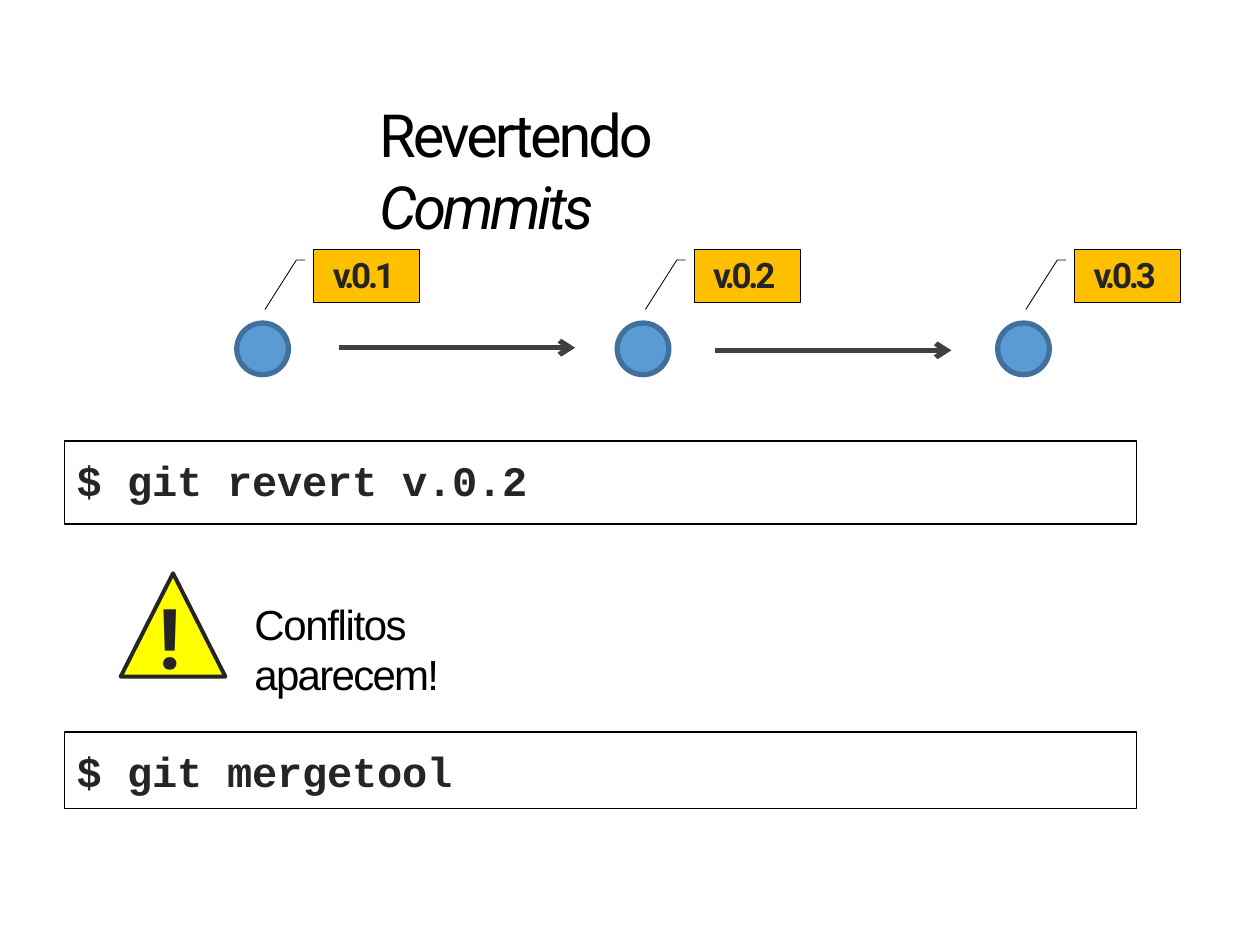
"""Build the slide on reverting commits, with its version timeline and commands."""
from dataclasses import dataclass

from lxml import etree
from pptx import Presentation
from pptx.dml.color import RGBColor
from pptx.enum.shapes import MSO_CONNECTOR, MSO_SHAPE
from pptx.enum.text import MSO_ANCHOR, MSO_AUTO_SIZE, PP_ALIGN
from pptx.oxml.ns import qn
from pptx.util import Pt

RECTANGLE = MSO_SHAPE.RECTANGLE
OVAL = MSO_SHAPE.OVAL
TRIANGLE = MSO_SHAPE.ISOSCELES_TRIANGLE
STRAIGHT = MSO_CONNECTOR.STRAIGHT
TOP = MSO_ANCHOR.TOP
LEFT = PP_ALIGN.LEFT
FIXED = MSO_AUTO_SIZE.NONE
GROW = MSO_AUTO_SIZE.SHAPE_TO_FIT_TEXT
TITLE_ONLY = 5


@dataclass(frozen=True)
class Theme:
    black: str = "000000"
    ink: str = "252525"
    arrow: str = "404040"
    commit: str = "5B9BD4"
    commit_edge: str = "41709C"
    tag: str = "FFC000"
    warning: str = "FFFF00"
    heading_font: str = "Roboto"
    body_font: str = "Arial"
    code_font: str = "Courier New"
    title_size: float = 34
    tag_size: float = 20
    body_size: float = 24
    mark_size: float = 48


@dataclass(frozen=True)
class Type:
    font: str
    size: float
    color: str
    bold: bool = False


class SlideBuilder:
    def __init__(self, slide, theme):
        self.slide = slide
        self.shapes = slide.shapes
        self.theme = theme

    def set_text(self, shape, runs, style, indent=0.7, inset=0.7, before=1, fit=GROW):
        frame = shape.text_frame
        frame.word_wrap = True
        frame.auto_size = fit
        frame.vertical_anchor = TOP
        frame.margin_left, frame.margin_top = Pt(indent), Pt(inset)
        frame.margin_right = frame.margin_bottom = 0
        paragraph = frame.paragraphs[0]
        paragraph.alignment = LEFT
        paragraph.space_before = Pt(before)
        for text, tracking, italic in runs:
            run = paragraph.add_run()
            run.text = text
            run.font.name = style.font
            run.font.size = Pt(style.size)
            run.font.bold = style.bold
            run.font.italic = italic
            run.font.color.rgb = RGBColor.from_string(style.color)
            run._r.get_or_add_rPr().set("spc", str(round(tracking * 100)))

    def paint(self, shape, fill, line, weight):
        shape.shadow.inherit = False
        if fill:
            shape.fill.solid()
            shape.fill.fore_color.rgb = RGBColor.from_string(fill)
        else:
            shape.fill.background()
        shape.line.color.rgb = RGBColor.from_string(line)
        shape.line.width = Pt(weight)

    def title(self, box, runs):
        heading = self.shapes.title
        heading.left, heading.top, heading.width, heading.height = map(Pt, box)
        style = Type(self.theme.heading_font, self.theme.title_size, self.theme.black)
        self.set_text(heading, runs, style)

    def text(self, box, runs, style):
        self.set_text(self.shapes.add_textbox(*map(Pt, box)), runs, style)

    def shape(self, kind, box, fill, line, weight):
        shape = self.shapes.add_shape(kind, *map(Pt, box))
        self.paint(shape, fill, line, weight)
        return shape

    def commit(self, left, top):
        theme = self.theme
        self.shape(OVAL, (left, top, 29.5, 29.5), theme.commit, theme.commit_edge, 3)

    def tag(self, left, version):
        theme = self.theme
        tag = self.shape(RECTANGLE, (left, 142.8, 60.5, 30.2), theme.tag, theme.black, 0.48)
        style = Type(theme.heading_font, theme.tag_size, theme.ink, True)
        self.set_text(tag, [(version, -1.9, False)], style, 10.8, 2.2, 1.9, FIXED)

    def leader(self, left):
        builder = self.shapes.build_freeform(Pt(left + 23), Pt(148.6))
        bend, foot = (left + 18, 148.6), (left, 176.9)
        builder.add_line_segments([(Pt(x), Pt(y)) for x, y in (bend, foot)], close=False)
        self.paint(builder.convert_to_shape(), None, self.theme.black, 0.48)

    def arrow(self, left, y):
        ends = map(Pt, (left, y, left + 135, y))
        arrow = self.shapes.add_connector(STRAIGHT, *ends)
        arrow.line.color.rgb = RGBColor.from_string(self.theme.arrow)
        arrow.line.width = Pt(2.9)
        properties = arrow._element.spPr
        etree.SubElement(properties.find(qn("a:ln")), qn("a:tailEnd"), type="arrow")
        etree.SubElement(properties, qn("a:effectLst"))

    def command(self, top, height, command):
        theme = self.theme
        console = self.shape(RECTANGLE, (36.7, top, 612.7, height), None, theme.black, 0.72)
        style = Type(theme.code_font, theme.body_size, theme.ink, True)
        runs = [("$ ", 0, False), (command, -0.1, False)]
        self.set_text(console, runs, style, 7.2, 7.9, 8.1, FIXED)

    def warning(self, left, top):
        theme = self.theme
        self.shape(TRIANGLE, (left, top, 59.8, 59), theme.warning, theme.ink, 2.28)
        style = Type(theme.heading_font, theme.mark_size, theme.ink, True)
        self.text((left + 21, top + 6.5, 18, 59.8), [("!", -2, False)], style)


def main():
    deck = Presentation()
    deck.slide_width, deck.slide_height = Pt(720), Pt(540)
    theme = Theme()
    builder = SlideBuilder(deck.slides.add_slide(deck.slide_layouts[TITLE_ONLY]), theme)

    builder.title((216, 55.4, 282, 42.5), [("Revertendo ", -1.7, False), ("Commits", -1.9, True)])

    step = 217.4
    for index, version in enumerate(("v.0.1", "v.0.2", "v.0.3")):
        offset = index * step
        builder.leader(151.4 + offset)
        builder.tag(179.4 + offset, version)
        builder.commit(135.3 + offset, 184.6)
    for left, y in ((193.7, 198.7), (408.7, 200.2)):
        builder.arrow(left, y)

    builder.command(252, 47.5, "git revert v.0.2")
    builder.warning(69, 327.6)
    builder.text(
        (144.7, 341.3, 192, 31),
        [("Conflitos ", -0.8, False), ("aparecem!", -1, False)],
        Type(theme.body_font, theme.body_size, theme.black),
    )
    builder.command(418.3, 43.9, "git mergetool")
    deck.save("out.pptx")


if __name__ == "__main__":
    main()
